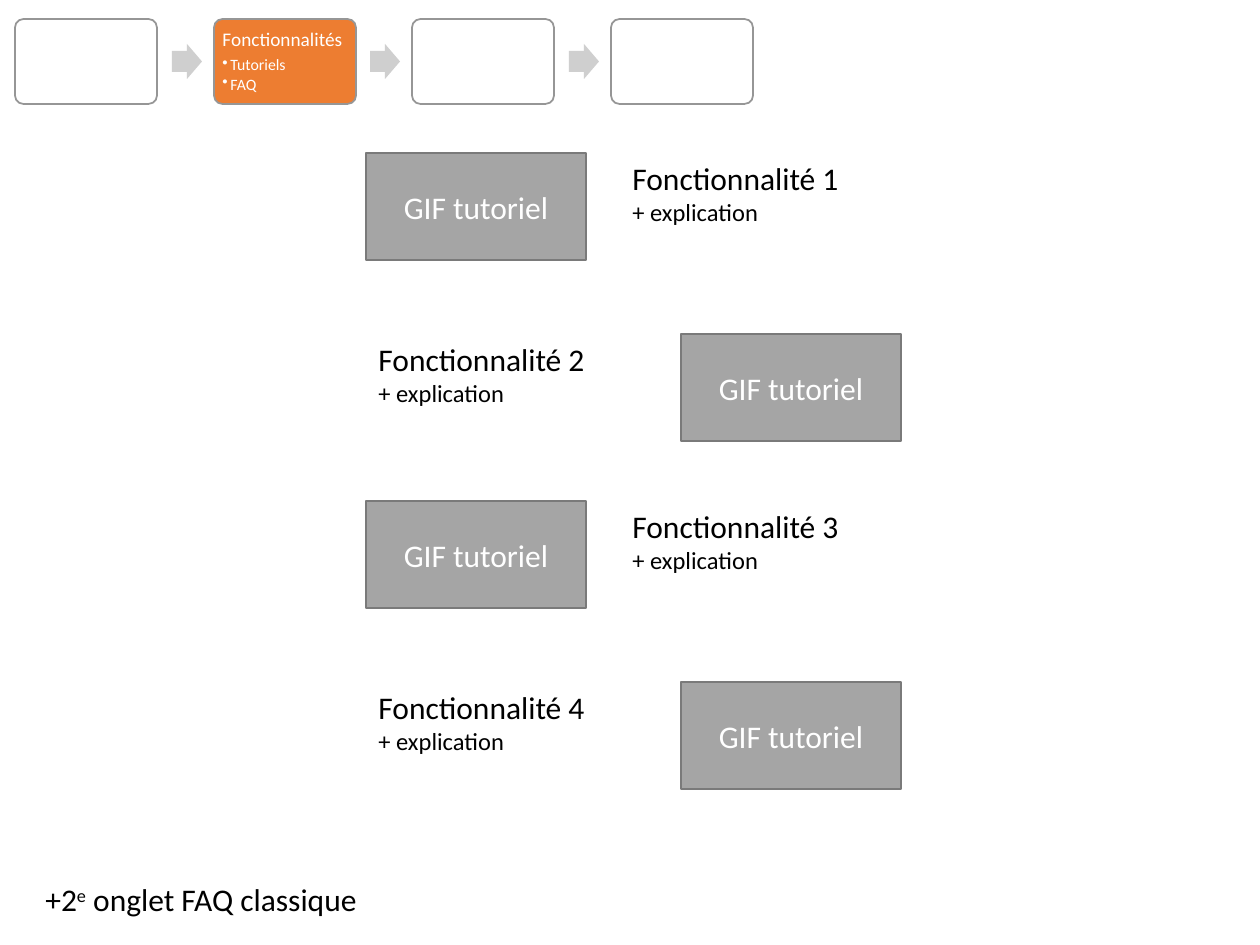
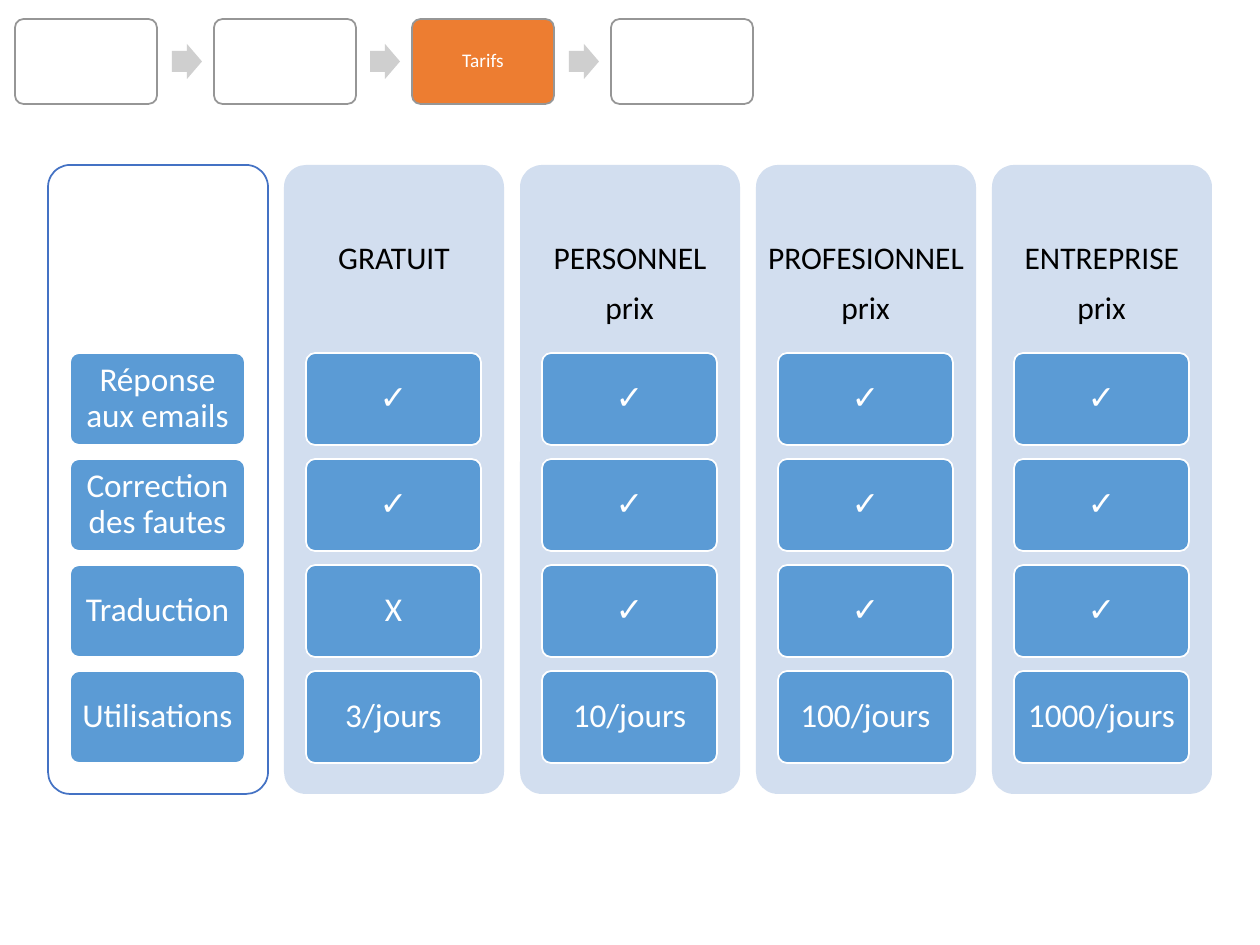
from pptx import Presentation
from pptx.dml.color import RGBColor
from pptx.enum.shapes import MSO_SHAPE as SHAPE
from pptx.enum.text import MSO_ANCHOR as ANCHOR, MSO_AUTO_SIZE as AUTO, PP_ALIGN as ALIGN
from pptx.util import Emu, Pt
from lxml import etree

SCALE = 914400 / 126  # EMU per pixel
FONT = "Calibri"
WHITE, BLACK = "FFFFFF", "000000"
ORANGE, BLUE, PALE_BLUE, EDGE_BLUE = "ED7D31", "5B9BD5", "D2DEEF", "4472C4"
STEP_EDGE, ARROW_GREY, GIF_GREY, GIF_EDGE = "969696", "CFCFCF", "A5A5A5", "7A7A7A"
NS = "{http://schemas.openxmlformats.org/drawingml/2006/main}"
CHECK = "✓"


def px(n):
    return Emu(round(n * SCALE))


def rgb(color):
    return RGBColor.from_string(color)


def add_box(shapes, box, fill, line=None, kind=SHAPE.ROUNDED_RECTANGLE, adj=(0.1,)):
    sp = shapes.add_shape(kind, *map(px, box))
    sp.shadow.inherit = False
    for i, value in enumerate(adj):
        sp.adjustments[i] = value
    sp.fill.solid()
    sp.fill.fore_color.rgb = rgb(fill)
    if line:
        sp.line.color.rgb = rgb(line)
        sp.line.width = Pt(1)
    else:
        sp.line.fill.background()
    return sp


def add_bullet(p, indent):
    pPr = p._p.get_or_add_pPr()
    pPr.set("marL", str(px(indent)))
    pPr.set("indent", str(-px(indent)))
    etree.SubElement(pPr, NS + "buChar", char="•")


def write(sp, paras, color=BLACK, align=ALIGN.LEFT, inset=None, **frame):
    """Each paragraph is (text or runs, size, options); a run is (text, options)."""
    tf = sp.text_frame
    for name, value in {"word_wrap": True, **frame}.items():
        setattr(tf, name, value)
    if inset:
        tf.margin_left = tf.margin_right = px(inset[0])
        tf.margin_top = tf.margin_bottom = px(inset[1])
    for i, (text, size, opts) in enumerate(paras):
        p = tf.add_paragraph() if i else tf.paragraphs[0]
        p.alignment = align
        for name in ("line_spacing", "space_after", "level"):
            if name in opts:
                setattr(p, name, opts[name])
        if opts.get("bullet"):
            add_bullet(p, 8)
        runs = [(text, {})] if isinstance(text, str) else text
        for words, fmt in runs:
            r = p.add_run()
            r.text = words
            font = {"name": FONT, "size": Pt(size), "bold": opts.get("bold")}
            for name, value in font.items():
                setattr(r.font, name, value)
            r.font.color.rgb = rgb(color)
            if "baseline" in fmt:
                r._r.get_or_add_rPr().set("baseline", str(fmt["baseline"]))


def add_label(shapes, box, paras):
    sp = shapes.add_textbox(*map(px, box))
    write(sp, paras, auto_size=AUTO.SHAPE_TO_FIT_TEXT)


# Step trail at the top of every slide
def step_trail(slide, box, active, paras, **style):
    x, y, w, h = box
    shapes = slide.shapes.add_group_shape().shapes
    step_w, count = 142, 4
    pitch = (w - step_w) / (count - 1)
    for i in range(count):
        left = x + round(i * pitch)
        if i:
            add_box(shapes, (left - 42, y + 25, 30, 35), ARROW_GREY,
                    kind=SHAPE.RIGHT_ARROW, adj=(0.6, 0.5))
        on = i == active
        sp = add_box(shapes, (left, y, step_w, h), ORANGE if on else WHITE, STEP_EDGE)
        if on:
            write(sp, paras, WHITE, inset=(6, 6), **style)


# Tutorials: picture frame and text swap sides from row to row
def tutorials(slide, box, count):
    x, y, w, pair_h = box
    frame_w, frame_h, text_w = 220, 107, 281
    for i in range(count):
        top = y + i // 2 * pair_h + i % 2 * 181
        if i % 2:
            frame_x, text_x = x + w - frame_w, x
        else:
            frame_x, text_x = x, x + w - text_w
        sp = add_box(slide.shapes, (frame_x, top, frame_w, frame_h), GIF_GREY, GIF_EDGE,
                     SHAPE.RECTANGLE, ())
        write(sp, [("GIF tutoriel", 18, {})], WHITE, ALIGN.CENTER,
              vertical_anchor=ANCHOR.MIDDLE)
        add_label(slide.shapes, (text_x, top, text_w, 80),
                  [(f"Fonctionnalité {i + 1}", 18, {}), ("+ explication", 14, {})])


# One column of the price grid
def price_column(shapes, box, title, cells):
    x, y, w, h = box
    centred = {"align": ALIGN.CENTER, "vertical_anchor": ANCHOR.MIDDLE}
    if title:
        add_box(shapes, box, PALE_BLUE)
        heading = shapes.add_textbox(*map(px, (x, y, w, 189)))
        write(heading, [(title, 18, {"line_spacing": 0.9})], inset=(9, 9), **centred)
    else:
        add_box(shapes, box, WHITE, EDGE_BLUE)
    for i, text in enumerate(cells):
        sp = add_box(shapes, (x + 22, y + 188 + i * 106, 175, 92), BLUE, WHITE)
        opts = {"line_spacing": 0.9, "bold": text == CHECK or None}
        write(sp, [(text, 19, opts)], WHITE, inset=(6, 5), **centred)


def price_grid(slide, box, columns):
    x, y, w, h = box
    gap = 16
    col_w = (w - gap * (len(columns) - 1)) // len(columns)
    shapes = slide.shapes.add_group_shape().shapes
    lefts = [x + i * (col_w + gap) for i in range(len(columns))]
    for left, (title, cells) in zip(lefts, columns):
        price_column(shapes, (left, y, col_w, h), title, cells)
    for left in lefts[2:]:  # paid plans
        add_label(slide.shapes, (left + 73, y + 117, 168, 50), [("prix", 18, {})])


prs = Presentation()
prs.slide_width, prs.slide_height = px(1260), px(945)
blank = prs.slide_layouts[6]
TRAIL = (15, 19, 738, 85)

# Slide 1: features
s = prs.slides.add_slide(blank)
item = {"line_spacing": 0.9, "space_after": Pt(1.35), "level": 1, "bullet": True}
step_trail(s, TRAIL, 1, [
    ("Fonctionnalités", 11, {"line_spacing": 0.9, "space_after": Pt(3.85)}),
    ("Tutoriels", 9, item),
    ("FAQ", 9, item),
])
tutorials(s, (366, 153, 535, 348), 4)
add_label(s.shapes, (33, 874, 364, 50), [
    ([("+2", {}), ("e", {"baseline": 30000}), (" onglet FAQ classique", {})], 18, {}),
])

# Slide 2: prices
s = prs.slides.add_slide(blank)
step_trail(s, TRAIL, 2, [("Tarifs", 11, {"line_spacing": 0.9})],
           align=ALIGN.CENTER, vertical_anchor=ANCHOR.MIDDLE)
price_grid(s, (48, 165, 1164, 629), [
    (None, ["Réponse aux emails", "Correction des fautes", "Traduction", "Utilisations"]),
    ("GRATUIT", [CHECK, CHECK, "X", "3/jours"]),
    ("PERSONNEL", [CHECK] * 3 + ["10/jours"]),
    ("PROFESIONNEL", [CHECK] * 3 + ["100/jours"]),
    ("ENTREPRISE", [CHECK] * 3 + ["1000/jours"]),
])

prs.save("out.pptx")
